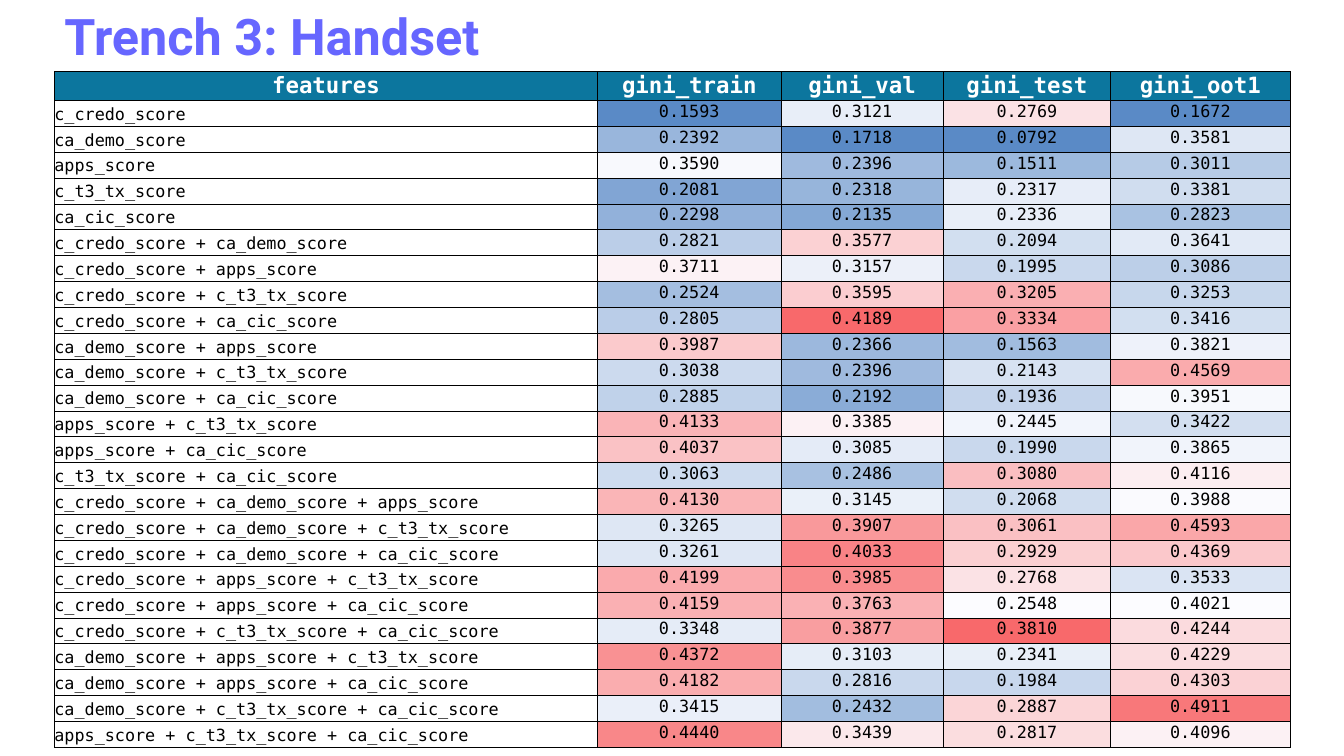
from dataclasses import dataclass
from itertools import chain, combinations

from lxml.etree import SubElement
from pptx import Presentation
from pptx.dml.color import RGBColor
from pptx.enum.text import MSO_ANCHOR as Anchor, MSO_AUTO_SIZE as AutoSize, PP_ALIGN as Align
from pptx.oxml.ns import qn
from pptx.util import Cm, Pt


@dataclass(frozen=True)
class Theme:
    """Colours, fonts and type sizes of the slide."""
    title: str = "6666FF"
    header: str = "0C769E"
    white: str = "FFFFFF"
    black: str = "000000"
    low: str = "5A8AC6"
    middle: str = "FCFCFF"
    high: str = "F8696B"
    title_font: str = "Roboto"
    table_font: str = "DejaVu Sans Mono"
    title_size: int = 36
    header_size: int = 16
    body_size: int = 12
    border_width: float = 0.5


THEME = Theme()

SCORES = ["c_credo_score", "ca_demo_score", "apps_score", "c_t3_tx_score", "ca_cic_score"]
FEATURES = [
    " + ".join(group)
    for group in chain.from_iterable(combinations(SCORES, count) for count in (1, 2, 3))
]
HEADERS = ["features", "gini_train", "gini_val", "gini_test", "gini_oot1"]
COLUMN_WIDTHS = [13.69, 4.62, 4.09, 4.22, 4.52]
COLOUR_SCALES = [
    (0.1593, 0.3645, 0.4644),
    (0.1718, 0.3320, 0.4189),
    (0.0792, 0.2548, 0.3810),
    (0.1672, 0.4021, 0.5010),
]
GINI = [
    (0.1593, 0.3121, 0.2769, 0.1672),
    (0.2392, 0.1718, 0.0792, 0.3581),
    (0.3590, 0.2396, 0.1511, 0.3011),
    (0.2081, 0.2318, 0.2317, 0.3381),
    (0.2298, 0.2135, 0.2336, 0.2823),
    (0.2821, 0.3577, 0.2094, 0.3641),
    (0.3711, 0.3157, 0.1995, 0.3086),
    (0.2524, 0.3595, 0.3205, 0.3253),
    (0.2805, 0.4189, 0.3334, 0.3416),
    (0.3987, 0.2366, 0.1563, 0.3821),
    (0.3038, 0.2396, 0.2143, 0.4569),
    (0.2885, 0.2192, 0.1936, 0.3951),
    (0.4133, 0.3385, 0.2445, 0.3422),
    (0.4037, 0.3085, 0.1990, 0.3865),
    (0.3063, 0.2486, 0.3080, 0.4116),
    (0.4130, 0.3145, 0.2068, 0.3988),
    (0.3265, 0.3907, 0.3061, 0.4593),
    (0.3261, 0.4033, 0.2929, 0.4369),
    (0.4199, 0.3985, 0.2768, 0.3533),
    (0.4159, 0.3763, 0.2548, 0.4021),
    (0.3348, 0.3877, 0.3810, 0.4244),
    (0.4372, 0.3103, 0.2341, 0.4229),
    (0.4182, 0.2816, 0.1984, 0.4303),
    (0.3415, 0.2432, 0.2887, 0.4911),
    (0.4440, 0.3439, 0.2817, 0.4096),
]


def blend(start, end, share):
    """Return the colour lying at the given share between two colours."""
    pairs = zip(RGBColor.from_string(start), RGBColor.from_string(end))
    return str(RGBColor(*(round(a + (b - a) * share) for a, b in pairs)))


def heat_colour(value, scale):
    """Return the colour of a value on a low, middle, high scale."""
    low, middle, high = scale
    if value <= middle:
        return blend(THEME.low, THEME.middle, (value - low) / (middle - low))
    return blend(THEME.middle, THEME.high, (value - middle) / (high - middle))


def format_font(font, name, size, colour, bold):
    """Apply name, size, colour and weight to a font."""
    font.name = name
    font.size = Pt(size)
    font.bold = bold
    font.color.rgb = RGBColor.from_string(colour)


def add_borders(cell):
    """Draw a thin line on all four sides of a cell."""
    properties = cell._tc.get_or_add_tcPr()
    for side in ("a:lnL", "a:lnR", "a:lnT", "a:lnB"):
        line = SubElement(properties, qn(side), w=str(Pt(THEME.border_width)))
        fill = SubElement(line, qn("a:solidFill"))
        SubElement(fill, qn("a:srgbClr"), val=THEME.black)


def fill_cell(cell, text, colour=None, align=Align.CENTER, header=False, number=False):
    """Write and format one table cell."""
    add_borders(cell)
    if colour:
        cell.fill.solid()
        cell.fill.fore_color.rgb = RGBColor.from_string(colour)
    else:
        cell.fill.background()
    cell.vertical_anchor = Anchor.BOTTOM
    cell.margin_left = cell.margin_right = cell.margin_top = Cm(0.02 if number else 0)
    cell.margin_bottom = Cm(0.12 if number else 0.05)
    cell.text_frame.text = text
    paragraph = cell.text_frame.paragraphs[0]
    paragraph.alignment = align
    format_font(
        paragraph.runs[0].font,
        THEME.table_font,
        THEME.header_size if header else THEME.body_size,
        THEME.white if header else THEME.black,
        header,
    )


def add_title(slide, text, left, top, width, height):
    """Place and format the slide title in the given box."""
    title = slide.shapes.title
    title.left, title.top, title.width, title.height = left, top, width, height
    frame = title.text_frame
    frame.text = text
    frame.word_wrap = True
    frame.auto_size = AutoSize.SHAPE_TO_FIT_TEXT
    frame.vertical_anchor = Anchor.TOP
    paragraph = frame.paragraphs[0]
    paragraph.alignment = Align.LEFT
    format_font(paragraph.runs[0].font, THEME.title_font, THEME.title_size, THEME.title, True)


def add_gini_table(slide, left, top, width, height):
    """Place the table of Gini values with a colour scale for each column."""
    table = slide.shapes.add_table(
        len(FEATURES) + 1, len(HEADERS), left, top, width, height
    ).table
    table.horz_banding = False
    for column, share in zip(table.columns, COLUMN_WIDTHS):
        column.width = int(width * share / sum(COLUMN_WIDTHS))
    header_height = Cm(0.73)
    for row in table.rows:
        row.height = (height - header_height) // len(FEATURES)
    table.rows[0].height = header_height

    for index, header in enumerate(HEADERS):
        fill_cell(table.cell(0, index), header, THEME.header, header=True)
    for row_index, (feature, values) in enumerate(zip(FEATURES, GINI), 1):
        fill_cell(table.cell(row_index, 0), feature, align=Align.LEFT)
        for column_index, (value, scale) in enumerate(zip(values, COLOUR_SCALES), 1):
            fill_cell(
                table.cell(row_index, column_index),
                f"{value:.4f}",
                heat_colour(value, scale),
                number=True,
            )


def main():
    """Build the slide and save the presentation."""
    presentation = Presentation()
    presentation.slide_width, presentation.slide_height = Cm(33.87), Cm(19.05)
    slide = presentation.slides.add_slide(presentation.slide_layouts[5])
    left, title_height = Cm(1.37), Cm(1.8)
    add_title(slide, "Trench 3: Handset", left, 0, Cm(21.2), title_height)
    add_gini_table(slide, left, title_height, Cm(31.14), Cm(17.04))
    presentation.save("out.pptx")


if __name__ == "__main__":
    main()
